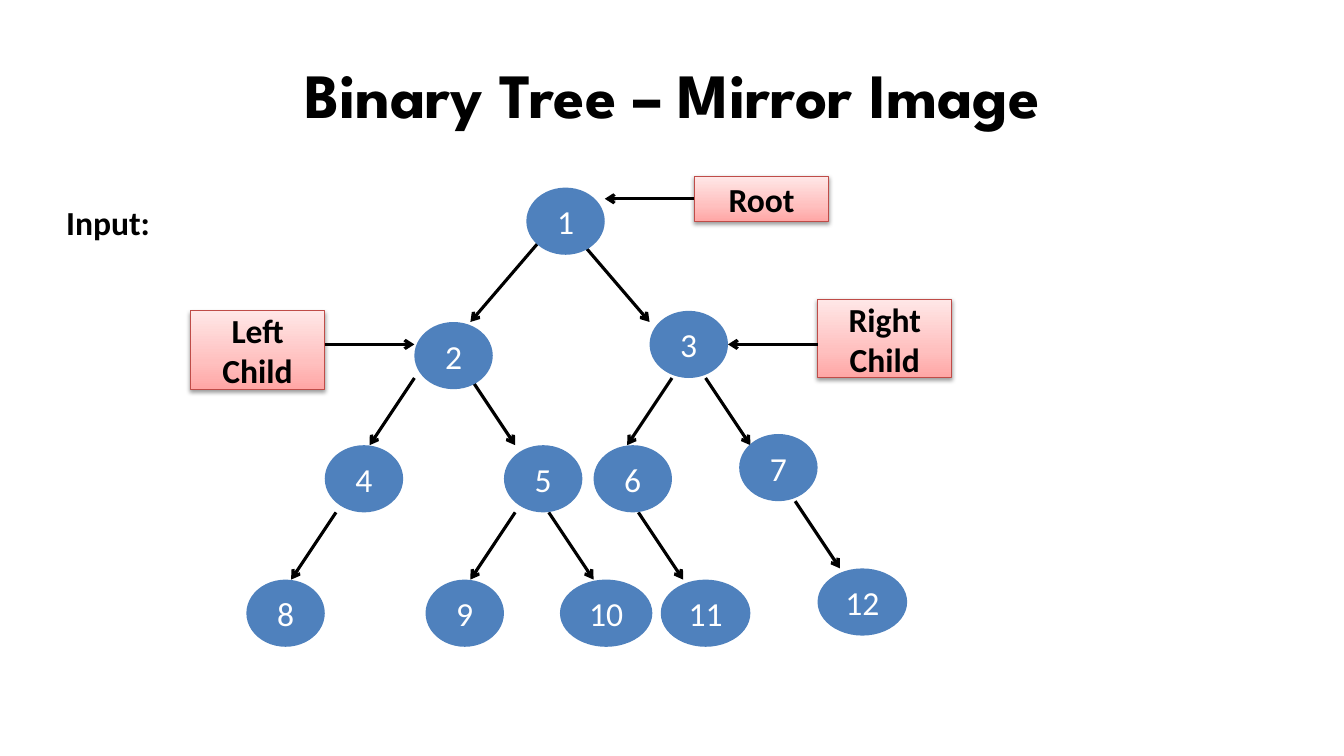
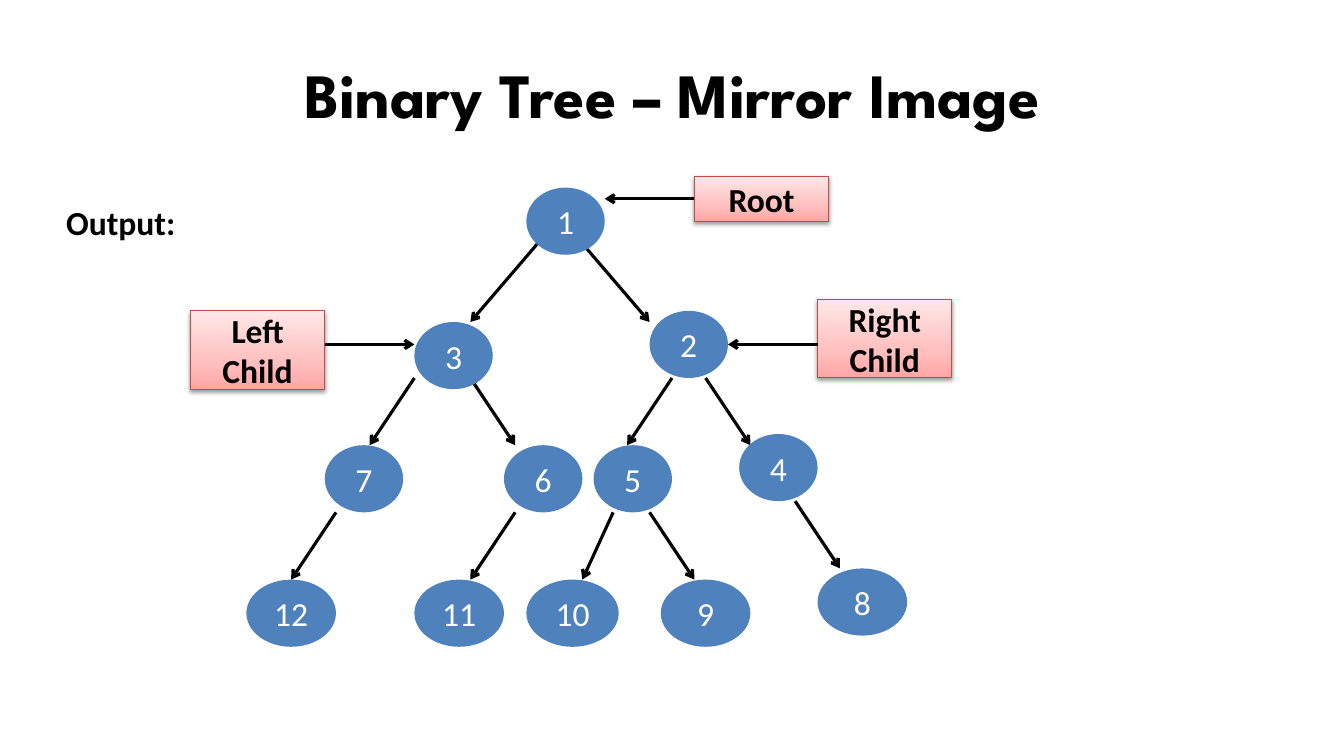
import copy

import pptx
import pptx.dml.color
import pptx.enum.shapes
import pptx.enum.text
import pptx.oxml
import pptx.oxml.ns
import pptx.util

Pt = pptx.util.Pt
qn = pptx.oxml.ns.qn
MSO_SHAPE = pptx.enum.shapes.MSO_SHAPE
CENTER = pptx.enum.text.PP_ALIGN.CENTER
LEFT = pptx.enum.text.PP_ALIGN.LEFT
MIDDLE = pptx.enum.text.MSO_ANCHOR.MIDDLE
TOP = pptx.enum.text.MSO_ANCHOR.TOP

# Shared style
BLACK, WHITE, NODE_BLUE, LABEL_RED = "000000", "FFFFFF", "4F81BD", "BF4C48"
LABEL_STOPS = [(0, "FFA6A5"), (0.35, "FFC0BF"), (1, "FFE7E7")]
TITLE_FONT, TEXT_FONT = "League Spartan", "Calibri"
NODE_WIDTH, WIDE_NODE, WIDEST_NODE, NODE_HEIGHT = 56, 64, 66, 48
LABEL_WIDTH = 96

# Content, lengths in points
TITLE = "Binary Tree – Mirror Image"

# Places of the upper seven nodes, level by level: left, top
UPPER_PLACES = [(376, 134), (296, 230), (464, 222),
                (232, 318), (360, 318), (424, 318), (528, 310)]

# Labels: lines, left, top, height, arrow y, arrow start x, arrow end x
LABELS = [
    (["Root"], 496, 126, 32, 142, 496, 432),
    (["Left", "Child"], 136, 222, 56, 246, 232, 296),
    (["Right", "Child"], 584, 214, 56, 246, 584, 520),
]

# Branches: start x, start y, end x, end y
SHARED_BRANCHES = [
    (384, 174, 336, 230), (416, 174, 464, 230),
    (296, 270, 264, 318), (336, 270, 368, 318),
    (480, 270, 448, 318), (504, 270, 536, 318),
    (240, 366, 208, 414), (368, 366, 336, 414),
    (568, 358, 600, 406),
]

# Leaves: text, left, top, width
TREES = [
    {
        "heading": "Input:",
        "upper": ["1", "2", "3", "4", "5", "6", "7"],
        "leaves": [("8", 176, 414, NODE_WIDTH), ("9", 304, 414, NODE_WIDTH),
                   ("10", 400, 414, WIDEST_NODE), ("11", 472, 414, WIDE_NODE),
                   ("12", 584, 406, WIDE_NODE)],
        "branches": [(392, 366, 424, 414), (456, 366, 488, 414)],
    },
    {
        "heading": "Output:",
        "upper": ["1", "3", "2", "7", "6", "5", "4"],
        "leaves": [("12", 176, 414, WIDE_NODE), ("11", 296, 414, WIDE_NODE),
                   ("10", 376, 414, WIDEST_NODE), ("9", 472, 414, WIDE_NODE),
                   ("8", 584, 406, WIDE_NODE)],
        "branches": [(438, 366, 416, 414), (464, 366, 496, 414)],
    },
]


def color(hex_text):
    return pptx.dml.color.RGBColor.from_string(hex_text)


def write_text(shape, lines, size=24, bold=False, font=TEXT_FONT,
               fill=BLACK, align=CENTER, anchor=MIDDLE):
    frame = shape.text_frame
    frame.text = "\n".join(lines)
    frame.word_wrap = True
    frame.vertical_anchor = anchor
    for paragraph in frame.paragraphs:
        paragraph.alignment = align
        paragraph.font.name = font
        paragraph.font.size = Pt(size)
        paragraph.font.bold = bold
        paragraph.font.color.rgb = color(fill)


def place(shape, left, top, width, height):
    shape.left, shape.top = Pt(left), Pt(top)
    shape.width, shape.height = Pt(width), Pt(height)


def add_arrow(slide, start_x, start_y, end_x, end_y):
    arrow = slide.shapes.add_connector(
        pptx.enum.shapes.MSO_CONNECTOR.STRAIGHT,
        Pt(start_x), Pt(start_y), Pt(end_x), Pt(end_y))
    arrow.line.color.rgb = color(BLACK)
    arrow.line.width = Pt(2.25)
    line = arrow.line._get_or_add_ln()
    line.append(pptx.oxml.parse_xml(
        f'<a:tailEnd {pptx.oxml.ns.nsdecls("a")} type="arrow"/>'))
    line.addnext(pptx.oxml.parse_xml(
        f'<a:effectLst {pptx.oxml.ns.nsdecls("a")}/>'))


def add_node(slide, text, left, top, width=NODE_WIDTH):
    node = slide.shapes.add_shape(
        MSO_SHAPE.OVAL, Pt(left), Pt(top), Pt(width), Pt(NODE_HEIGHT))
    node.fill.solid()
    node.fill.fore_color.rgb = color(NODE_BLUE)
    node.line.fill.background()
    node.shadow.inherit = False
    write_text(node, [text], fill=WHITE)


def add_label(slide, lines, left, top, height):
    label = slide.shapes.add_shape(
        MSO_SHAPE.RECTANGLE, Pt(left), Pt(top), Pt(LABEL_WIDTH), Pt(height))
    label.fill.gradient()
    label.fill.gradient_angle = 90
    properties = label._element.spPr
    # The default gradient has two stops; a third is needed
    stop_list = properties.find(qn("a:gradFill")).find(qn("a:gsLst"))
    stop_list.append(copy.deepcopy(stop_list[0]))
    for stop, (position, stop_color) in zip(label.fill.gradient_stops, LABEL_STOPS):
        stop.position = position
        stop.color.rgb = color(stop_color)
    label.line.color.rgb = color(LABEL_RED)
    label.line.width = Pt(0.75)
    label.shadow.inherit = False
    properties.find(qn("a:effectLst")).append(pptx.oxml.parse_xml(
        f'<a:outerShdw {pptx.oxml.ns.nsdecls("a")} blurRad="{Pt(3.1)}" '
        f'dist="{Pt(1.6)}" dir="5400000" rotWithShape="0">'
        f'<a:srgbClr val="{BLACK}"><a:alpha val="38000"/></a:srgbClr>'
        '</a:outerShdw>'))
    write_text(label, lines, bold=True)


def add_heading(slide, text):
    body = slide.placeholders[1]
    place(body, 40, 126, 864, 356)
    write_text(body, [text], bold=True, align=LEFT, anchor=TOP)
    paragraph = body.text_frame.paragraphs[0]
    paragraph.line_spacing = 1.5
    paragraph.space_before = Pt(4.8)
    paragraph_properties = paragraph._p.get_or_add_pPr()
    paragraph_properties.set("marL", "0")
    paragraph_properties.set("indent", "0")
    bullet_off = pptx.oxml.parse_xml(f'<a:buNone {pptx.oxml.ns.nsdecls("a")}/>')
    paragraph_properties.find(qn("a:defRPr")).addprevious(bullet_off)


def add_tree_slide(presentation, tree):
    slide = presentation.slides.add_slide(presentation.slide_layouts[1])
    place(slide.shapes.title, 48, 21.6, 864, 90)
    write_text(slide.shapes.title, [TITLE], size=45, bold=True, font=TITLE_FONT)
    add_heading(slide, tree["heading"])

    # Arrows go behind the nodes
    for branch in SHARED_BRANCHES + tree["branches"]:
        add_arrow(slide, *branch)
    for lines, left, top, height, arrow_y, start_x, end_x in LABELS:
        add_label(slide, lines, left, top, height)
        add_arrow(slide, start_x, arrow_y, end_x, arrow_y)
    for text, (left, top) in zip(tree["upper"], UPPER_PLACES):
        add_node(slide, text, left, top)
    for leaf in tree["leaves"]:
        add_node(slide, *leaf)


def main():
    presentation = pptx.Presentation()
    presentation.slide_width, presentation.slide_height = Pt(960), Pt(540)
    for tree in TREES:
        add_tree_slide(presentation, tree)
    presentation.save("out.pptx")


if __name__ == "__main__":
    main()
